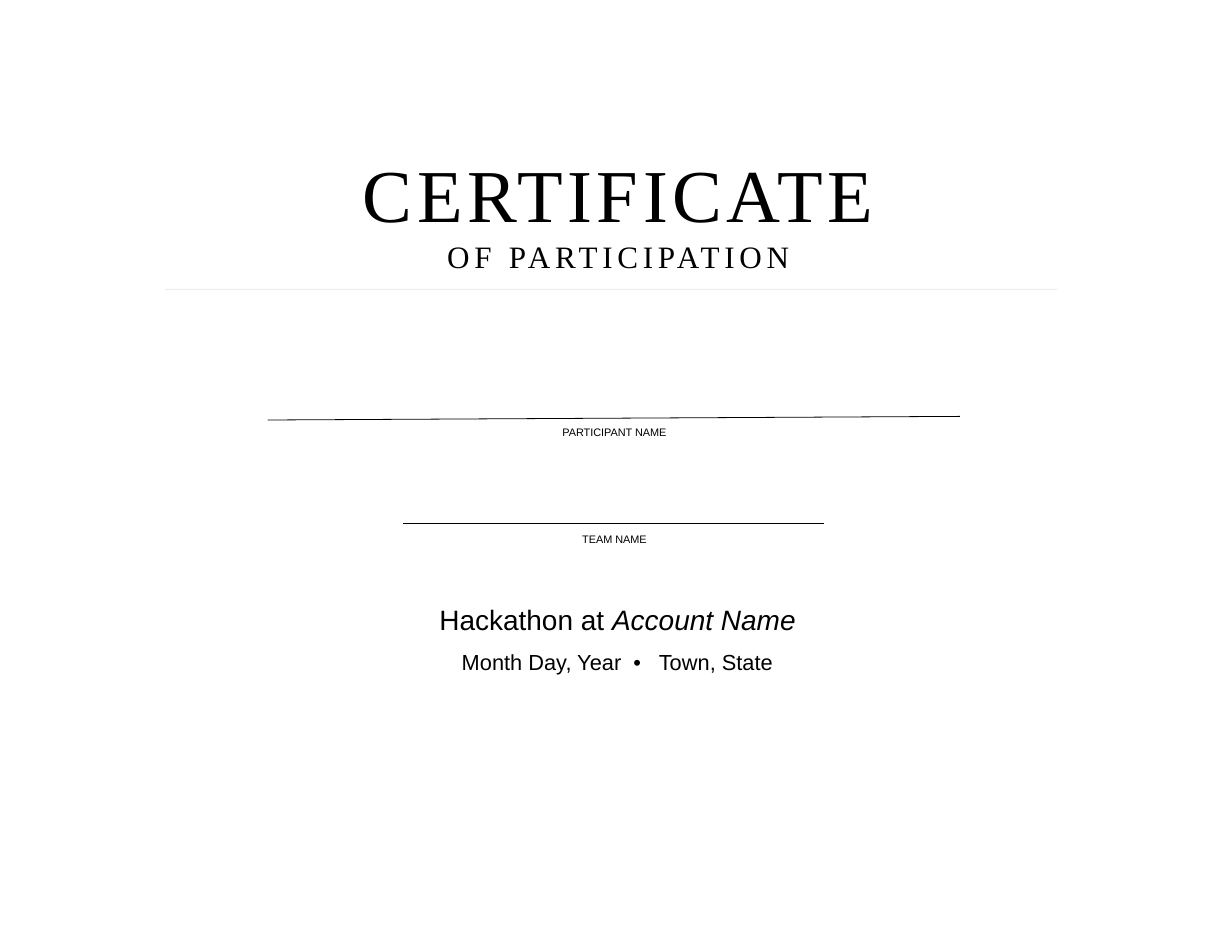
from lxml import etree
from pptx import Presentation
from pptx.dml.color import RGBColor
from pptx.enum.shapes import MSO_CONNECTOR as Connector
from pptx.enum.text import MSO_ANCHOR as Anchor, MSO_AUTO_SIZE as AutoSize, PP_ALIGN as Align
from pptx.oxml.ns import qn
from pptx.util import Pt

BLACK = "000000"
SANS, SERIF = "Arial", "Times New Roman"


def color(hex_string):
    return RGBColor.from_string(hex_string)


def add_rule(slide, start, end, opacity=100):
    """Draw a thin black line; opacity is in percent."""
    rule = slide.shapes.add_connector(Connector.STRAIGHT, *map(Pt, start + end))
    rule.line.width = Pt(0.5)
    rule.line.color.rgb = color(BLACK)
    if opacity < 100:
        fill_color = next(rule.line.fill._xPr.iter(qn("a:srgbClr")))
        etree.SubElement(fill_color, qn("a:alpha"), val=str(opacity * 1000))
    etree.SubElement(rule._element.spPr, qn("a:effectLst"))


def add_text(slide, box, lines, font_name, line_spacing=None, letter_spacing=0,
             anchor=Anchor.TOP):
    """Add centred lines, each a size and a list of (text, italic) runs."""
    frame = slide.shapes.add_textbox(*map(Pt, box)).text_frame
    frame.word_wrap = True
    frame.auto_size = AutoSize.SHAPE_TO_FIT_TEXT
    frame.vertical_anchor = anchor
    for index, (size, runs) in enumerate(lines):
        paragraph = frame.add_paragraph() if index else frame.paragraphs[0]
        paragraph.alignment = Align.CENTER
        paragraph.line_spacing = line_spacing
        for text, italic in runs:
            run = paragraph.add_run()
            run.text = text
            run.font.name = font_name
            run.font.size = Pt(size)
            run.font.italic = italic
            run.font.color.rgb = color(BLACK)
            if letter_spacing:
                run.font._element.set("spc", str(letter_spacing * 100))


def add_field(slide, start, end, label, label_top):
    """Add a line to write on with a small label below it."""
    add_rule(slide, start, end)
    add_text(slide, (191.5, label_top, 407, 16), [(7, [(label, False)])], SANS)


def main():
    presentation = Presentation()
    presentation.slide_width, presentation.slide_height = Pt(792), Pt(612)
    slide = presentation.slides.add_slide(presentation.slide_layouts[6])

    # Heading and its pale divider
    add_rule(slide, (106, 186), (680, 186), opacity=9)
    add_text(slide, (44, 90, 707, 90),
             [(48, [("CERTIFICATE", False)]), (20, [("OF PARTICIPATION", False)])],
             SERIF, letter_spacing=3, anchor=Anchor.BOTTOM)

    # Fields to fill in
    add_field(slide, (172, 270), (617, 267.7), "PARTICIPANT NAME", 270)
    add_field(slide, (259, 336.7), (530, 336.7), "TEAM NAME", 339)

    # Event, date and place
    add_text(slide, (44, 373, 706, 62.6),
             [(18, [("Hackathon at ", False), ("Account Name", True)]),
              (14, [("Month Day, Year  •   Town, State", False)])],
             SANS, line_spacing=1.5)

    presentation.save("out.pptx")


if __name__ == "__main__":
    main()
